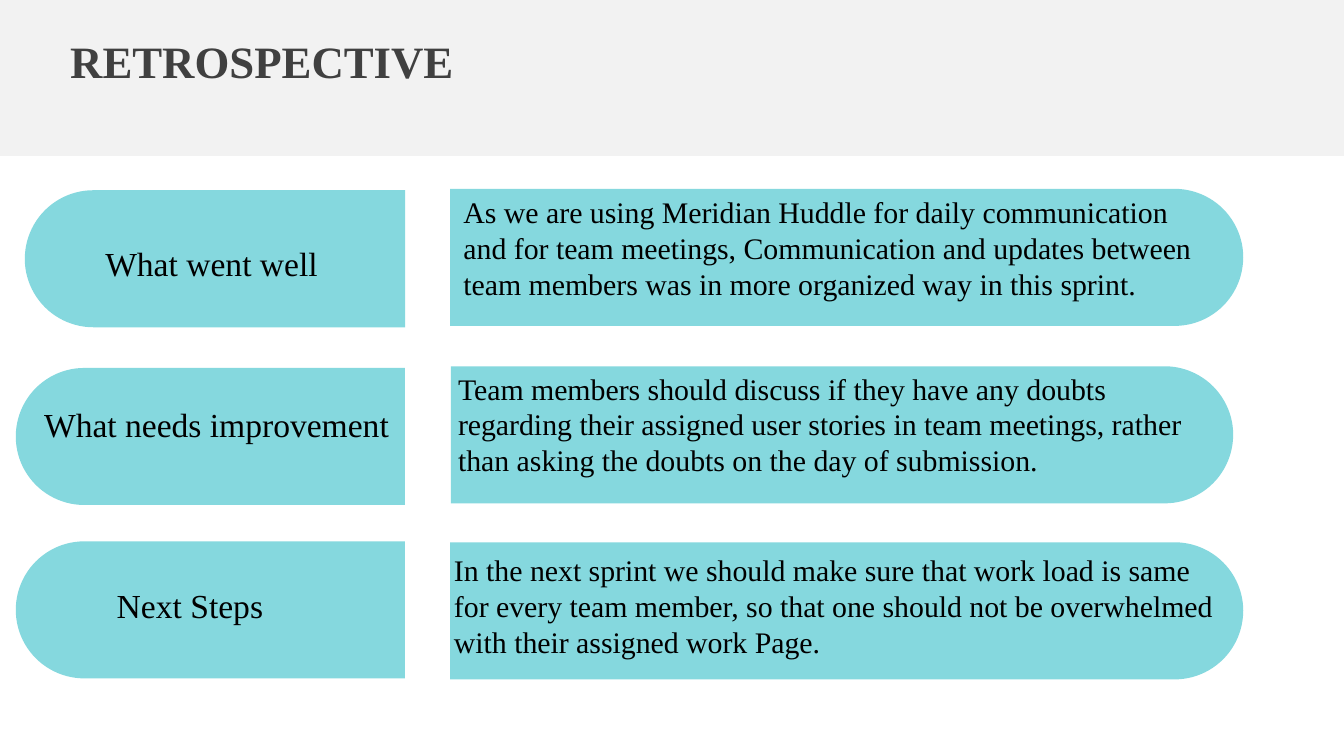
from pptx import Presentation
from pptx.dml.color import RGBColor
from pptx.enum.shapes import MSO_SHAPE
from pptx.enum.text import MSO_ANCHOR, PP_ALIGN
from pptx.util import Emu, Pt

EMU_PER_PX = 4572
FONT = "Times New Roman"
TEAL = "85D8DE"
TAB_HEIGHT = 204
LABEL_HEIGHT = 80
DETAIL_HEIGHT = 182
ROUND_LEFT, ROUND_RIGHT = 270, 90

TOPICS = [
    {
        "label": ("What went well", 137, 352, 470),
        "label_tab": (37, 283, 566),
        "detail": (670, 279, 1150),
        "detail_tab": (670, 281, 1180),
        "lines": [
            "As we are using Meridian Huddle for daily communication",
            "and for team meetings, Communication and updates between team members "
            "was in more organized way in this sprint.",
        ],
    },
    {
        "label": ("What needs improvement", 46, 592, 626),
        "label_tab": (24, 547, 579),
        "detail": (662, 541, 1266),
        "detail_tab": (671, 545, 1164),
        "lines": [
            "Team members should discuss if they have any doubts",
            "regarding their assigned user stories in team meetings, rather",
            "than asking the doubts on the day of submission.",
        ],
    },
    {
        "label": ("Next Steps", 154, 860, 318),
        "label_tab": (24, 805, 579),
        "detail": (656, 811, 1194),
        "detail_tab": (670, 807, 1180),
        "lines": [
            "In the next sprint we should make sure that work load is same",
            "for every team member, so that one should not be overwhelmed "
            "with their assigned work Page.",
        ],
    },
]


def px(length):
    return Emu(length * EMU_PER_PX)


def color(value):
    return RGBColor.from_string(value)


def add_plain_shape(page, kind, left, top, width, height, fill):
    shape = page.shapes.add_shape(kind, px(left), px(top), px(width), px(height))
    shape.shadow.inherit = False
    shape.fill.solid()
    shape.fill.fore_color.rgb = color(fill)
    shape.line.fill.background()
    return shape


def add_tab(page, left, top, width, rotation):
    shift = (width - TAB_HEIGHT) // 2
    tab = add_plain_shape(page, MSO_SHAPE.ROUND_2_SAME_RECTANGLE,
                          left + shift, top - shift, TAB_HEIGHT, width, TEAL)
    tab.rotation = rotation
    tab.adjustments[0] = 0.5
    tab.adjustments[1] = 0


def add_text(page, lines, left, top, width, height, size,
             font_color="000000", bold=False, align=PP_ALIGN.LEFT, anchor=MSO_ANCHOR.TOP):
    box = page.shapes.add_textbox(px(left), px(top), px(width), px(height))
    frame = box.text_frame
    frame.word_wrap = True
    frame.vertical_anchor = anchor
    for index, line in enumerate(lines):
        para = frame.add_paragraph() if index else frame.paragraphs[0]
        para.alignment = align
        span = para.add_run()
        span.text = line
        span.font.name = FONT
        span.font.size = Pt(size)
        span.font.bold = bold
        span.font.color.rgb = color(font_color)


def add_topic(page, topic):
    add_tab(page, *topic["label_tab"], ROUND_LEFT)
    add_tab(page, *topic["detail_tab"], ROUND_RIGHT)
    label, *label_place = topic["label"]
    add_text(page, [label], *label_place, LABEL_HEIGHT, 18)
    add_text(page, topic["lines"], *topic["detail"], DETAIL_HEIGHT, 16)


def main():
    deck = Presentation()
    deck.slide_width = px(2000)
    deck.slide_height = px(1125)
    page = deck.slides.add_slide(deck.slide_layouts[6])
    add_plain_shape(page, MSO_SHAPE.RECTANGLE, 0, 0, 2000, 232, "F2F2F2")
    add_text(page, ["RETROSPECTIVE "], 0, 27, 796, 126, 24, "404040", True,
             PP_ALIGN.CENTER, MSO_ANCHOR.MIDDLE)
    for topic in TOPICS:
        add_topic(page, topic)
    deck.save("out.pptx")


if __name__ == "__main__":
    main()
